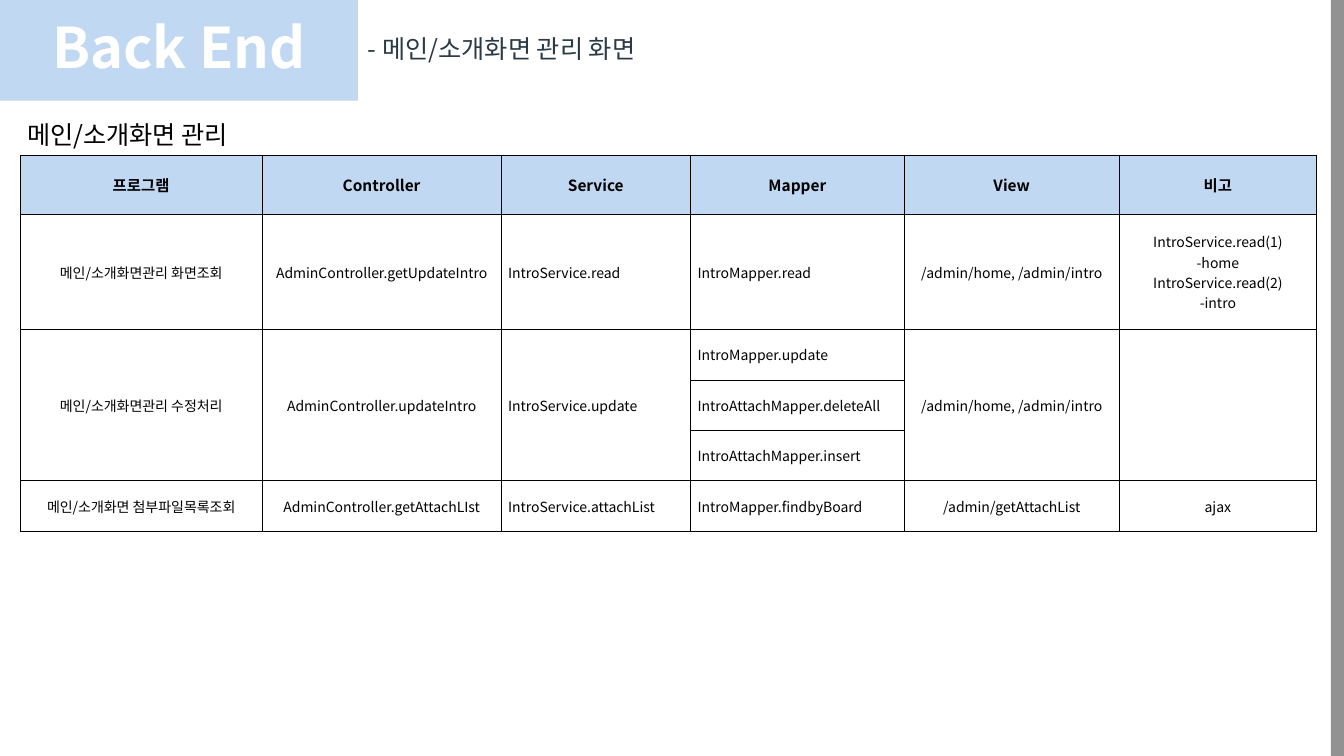
from lxml.etree import SubElement
from pptx import Presentation
from pptx.dml.color import RGBColor
from pptx.enum.shapes import MSO_SHAPE as Shape
from pptx.enum.text import MSO_ANCHOR as Anchor, PP_ALIGN as Align
from pptx.oxml.ns import qn
from pptx.util import Inches, Pt

FONT = "Noto Sans CJK KR"
BLUE, GRAY, WHITE, BLACK, SLATE = "C1D8F2", "929292", "FFFFFF", "000000", "2A3A46"

COLUMN_WIDTHS = [2.4, 2.37, 1.88, 2.12, 2.13, 1.96]
ROW_HEIGHTS = [0.59, 1.14, 0.5, 0.5, 0.5, 0.5]
LEFT_COLUMNS = (2, 3)  # Service and Mapper
MAPPER_COLUMN = 3
UPDATE_ROWS = (2, 4)  # first and last row of the update program
ROWS = [
    ["프로그램", "Controller", "Service", "Mapper", "View", "비고"],
    ["메인/소개화면관리 화면조회", "AdminController.getUpdateIntro", "IntroService.read",
     "IntroMapper.read", "/admin/home, /admin/intro",
     "IntroService.read(1)\n-home\nIntroService.read(2)\n-intro"],
    ["메인/소개화면관리 수정처리", "AdminController.updateIntro", "IntroService.update",
     "IntroMapper.update", "/admin/home, /admin/intro", ""],
    ["", "", "", "IntroAttachMapper.deleteAll", "", ""],
    ["", "", "", "IntroAttachMapper.insert", "", ""],
    ["메인/소개화면 첨부파일목록조회", "AdminController.getAttachLIst", "IntroService.attachList",
     "IntroMapper.findbyBoard", "/admin/getAttachList", "ajax"],
]


def color(value):
    return RGBColor.from_string(value)


def set_values(target, values):
    for name, value in values.items():
        setattr(target, name, value)


def write_text(frame, text, size, text_color, bold=False, align=Align.LEFT, line_spacing=1.0):
    for index, line in enumerate(text.split("\n")):
        paragraph = frame.add_paragraph() if index else frame.paragraphs[0]
        set_values(paragraph, {"alignment": align, "line_spacing": line_spacing})
        run = paragraph.add_run()
        run.text = line
        set_values(run.font, {"name": FONT, "size": Pt(size), "bold": bold})
        run.font.color.rgb = color(text_color)
        # Hangul takes the East Asian typeface
        SubElement(run.font._element, qn("a:ea"), typeface=FONT)


def add_block(slide, left, top, width, height, fill):
    shape = slide.shapes.add_shape(
        Shape.RECTANGLE, Inches(left), Inches(top), Inches(width), Inches(height))
    shape.shadow.inherit = False
    shape.fill.solid()
    shape.fill.fore_color.rgb = color(fill)
    shape.line.fill.background()


def add_text(slide, left, top, width, height, text, anchor=Anchor.MIDDLE, **text_format):
    box = slide.shapes.add_textbox(Inches(left), Inches(top), Inches(width), Inches(height))
    set_values(box.text_frame, {"word_wrap": True, "vertical_anchor": anchor})
    write_text(box.text_frame, text, **text_format)


def add_borders(cell):
    properties = cell._tc.get_or_add_tcPr()
    for side in ("lnL", "lnR", "lnT", "lnB"):
        line = SubElement(properties, qn(f"a:{side}"), w=str(Pt(0.56)))
        fill = SubElement(line, qn("a:solidFill"))
        SubElement(fill, qn("a:srgbClr"), val=BLACK)


def format_cell(cell, text, row, column):
    is_header = row == 0
    add_borders(cell)
    cell.fill.solid()
    cell.fill.fore_color.rgb = color(BLUE if is_header else WHITE)
    set_values(cell, {
        "vertical_anchor": Anchor.MIDDLE,
        "margin_left": Inches(0.07), "margin_right": Inches(0.07),
        "margin_top": Inches(0.04), "margin_bottom": Inches(0.04),
    })
    if text:
        align = Align.LEFT if column in LEFT_COLUMNS and not is_header else Align.CENTER
        write_text(cell.text_frame, text, 11 if is_header else 10, BLACK, is_header, align)


def add_program_table(slide, left, top):
    table = slide.shapes.add_table(
        len(ROWS), len(COLUMN_WIDTHS), Inches(left), Inches(top),
        Inches(sum(COLUMN_WIDTHS)), Inches(sum(ROW_HEIGHTS))).table
    set_values(table, {"first_row": False, "horz_banding": False})
    for table_column, width in zip(table.columns, COLUMN_WIDTHS):
        table_column.width = Inches(width)
    for table_row, height in zip(table.rows, ROW_HEIGHTS):
        table_row.height = Inches(height)
    for row, texts in enumerate(ROWS):
        for column, text in enumerate(texts):
            format_cell(table.cell(row, column), text, row, column)
    # The update program spans its three mappers
    first, last = UPDATE_ROWS
    for column in range(len(COLUMN_WIDTHS)):
        if column != MAPPER_COLUMN:
            table.cell(first, column).merge(table.cell(last, column))


def main():
    presentation = Presentation()
    set_values(presentation, {"slide_width": Inches(13.33), "slide_height": Inches(7.5)})
    slide = presentation.slides.add_slide(presentation.slide_layouts[6])

    # Side bar and header
    add_block(slide, 13.2, 0, 0.13, 7.5, GRAY)
    add_block(slide, 0, 0, 3.55, 1, BLUE)
    add_text(slide, 0, 0, 3.55, 1, "Back End", size=40, text_color=WHITE,
             bold=True, align=Align.CENTER, line_spacing=0.9)
    add_text(slide, 3.55, 0, 9.65, 1, "- 메인/소개화면 관리 화면", size=18,
             text_color=SLATE, line_spacing=0.9)

    # Section title and program table
    add_text(slide, 0.17, 1.13, 3.38, 0.4, "메인/소개화면 관리", anchor=Anchor.TOP,
             size=18, text_color=BLACK)
    add_program_table(slide, 0.2, 1.54)

    presentation.save("out.pptx")


if __name__ == "__main__":
    main()
